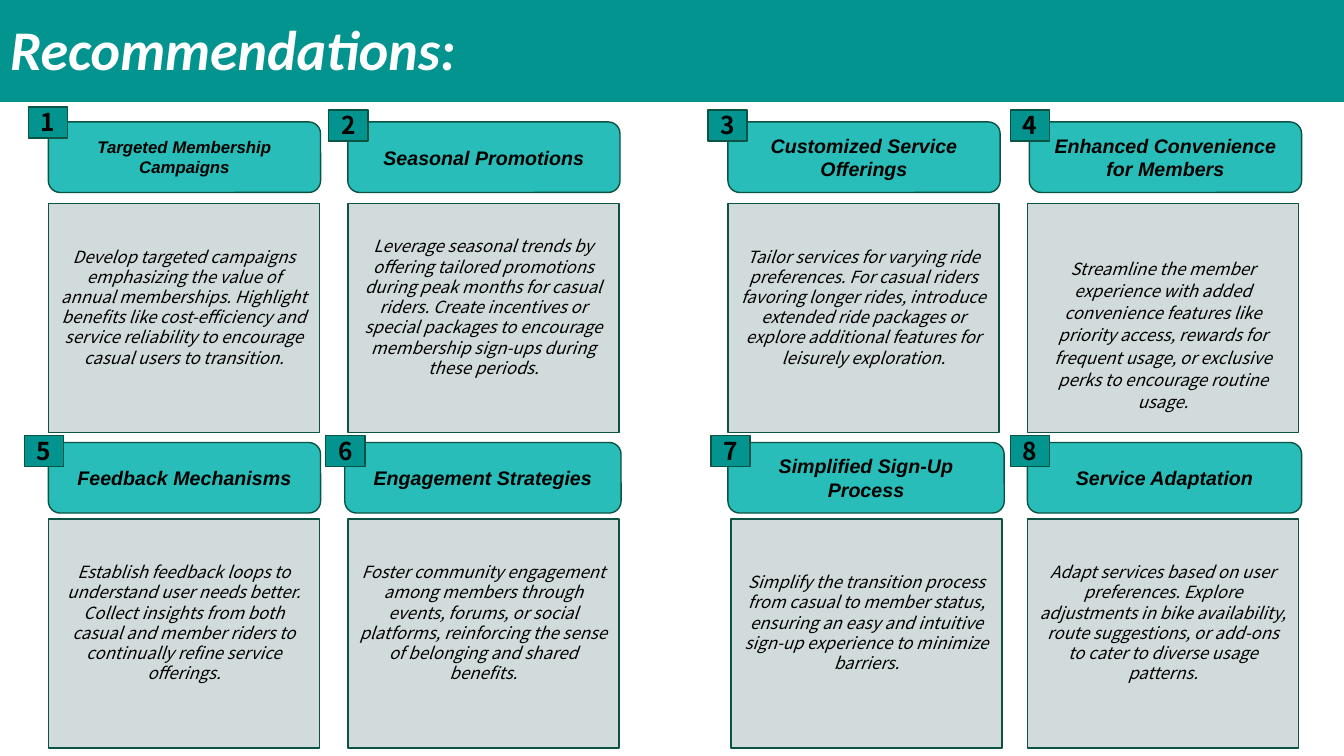
from dataclasses import dataclass

from pptx import Presentation
from pptx.dml.color import RGBColor
from pptx.enum.shapes import MSO_SHAPE
from pptx.enum.text import MSO_ANCHOR, MSO_AUTO_SIZE, PP_ALIGN
from pptx.util import Inches, Pt

RECTANGLE = MSO_SHAPE.RECTANGLE
ROUNDED = MSO_SHAPE.ROUNDED_RECTANGLE
MIDDLE = MSO_ANCHOR.MIDDLE
NO_AUTOFIT = MSO_AUTO_SIZE.NONE
LEFT = PP_ALIGN.LEFT
CENTER = PP_ALIGN.CENTER

TITLE = "Recommendations:"
CARDS = [
    ("Targeted Membership Campaigns",
     "Develop targeted campaigns emphasizing the value of annual memberships. "
     "Highlight benefits like cost-efficiency and service reliability to encourage "
     "casual users to transition."),
    ("Seasonal Promotions",
     "Leverage seasonal trends by offering tailored promotions during peak months "
     "for casual riders. Create incentives or special packages to encourage "
     "membership sign-ups during these periods."),
    ("Customized Service Offerings",
     "Tailor services for varying ride preferences. For casual riders favoring "
     "longer rides, introduce extended ride packages or explore additional features "
     "for leisurely exploration."),
    ("Enhanced Convenience for Members",
     "Streamline the member experience with added convenience features like "
     "priority access, rewards for frequent usage, or exclusive perks to encourage "
     "routine usage."),
    ("Feedback Mechanisms",
     "Establish feedback loops to understand user needs better. Collect insights "
     "from both casual and member riders to continually refine service offerings."),
    ("Engagement Strategies",
     "Foster community engagement among members through events, forums, or social "
     "platforms, reinforcing the sense of belonging and shared benefits."),
    ("Simplified Sign-Up Process",
     "Simplify the transition process from casual to member status, ensuring an "
     "easy and intuitive sign-up experience to minimize barriers."),
    ("Service Adaptation",
     "Adapt services based on user preferences. Explore adjustments in bike "
     "availability, route suggestions, or add-ons to cater to diverse usage patterns."),
]

COLUMNS = 4
ROWS = [
    {"heading_top": 1.21, "body_top": 2.02,
     "badge_tops": [1.06, 1.09, 1.09, 1.09],
     "badge_lefts": [0.28, 3.26, 7.02, 10.02],
     "heading_lefts": [0.48, 3.45, 7.22, 10.21],
     "heading_widths": [2.7, 2.7, 2.7, 2.7],
     "body_lefts": [0.48, 3.45, 7.22, 10.19]},
    {"heading_top": 4.39, "body_top": 5.15,
     "badge_tops": [4.32] * COLUMNS,
     "badge_lefts": [0.24, 3.23, 7.05, 10.02],
     "heading_lefts": [0.48, 3.42, 7.22, 10.19],
     "heading_widths": [2.7, 2.74, 2.74, 2.72],
     "body_lefts": [0.48, 3.45, 7.25, 10.19]},
]
HEADING_HEIGHT = 0.7
BODY_SIZE = (2.69, 2.27)
BADGE_SIZE = (0.39, 0.31)
BODY_INSETS = (0.1, 0.05, 0.1, 0.27)
LOW_BODY_INSETS = (0.1, 0.37, 0.1, 0.05)
LOW_BODY = 4
SMALL_HEADING = 1


@dataclass(frozen=True)
class Theme:
    bar: str = "03948F"
    heading: str = "28BDB8"
    body: str = "D1DBDB"
    outline: str = "0D5344"
    ink: str = "000000"
    white: str = "FFFFFF"
    title_font: str = "Calibri"
    heading_font: str = "Arial"
    body_font: str = "Noto Sans CJK KR"
    title_size: float = 40
    heading_size: float = 14
    small_size: float = 12
    badge_size: float = 17.5
    body_leading: float = 14.45
    loose_leading: float = 15.9
    badge_leading: float = 20


THEME = Theme()


def write(shape, text, *, font, size, color=THEME.ink, bold=False, italic=False,
          align=CENTER, leading=None, insets=(0.1, 0.05, 0.1, 0.05)):
    frame = shape.text_frame
    frame.word_wrap = True
    frame.auto_size = NO_AUTOFIT
    frame.vertical_anchor = MIDDLE
    (frame.margin_left, frame.margin_top,
     frame.margin_right, frame.margin_bottom) = map(Inches, insets)
    para = frame.paragraphs[0]
    para.alignment = align
    if leading:
        para.line_spacing = Pt(leading)
    span = para.add_run()
    span.text = text
    span.font.name = font
    span.font.size = Pt(size)
    span.font.bold = bold
    span.font.italic = italic
    span.font.color.rgb = RGBColor.from_string(color)


def add_box(page, kind, left, top, width, height, fill):
    box = page.shapes.add_shape(kind, *map(Inches, (left, top, width, height)))
    box.shadow.inherit = False
    box.fill.solid()
    box.fill.fore_color.rgb = RGBColor.from_string(fill)
    box.line.color.rgb = RGBColor.from_string(THEME.outline)
    box.line.width = Pt(1)
    return box


def add_title(page):
    title = page.shapes.title
    title.left, title.top, title.width, title.height = map(
        Inches, (0, -0.05, 13.33, 1.06))
    title.fill.solid()
    title.fill.fore_color.rgb = RGBColor.from_string(THEME.bar)
    write(title, TITLE, font=THEME.title_font, size=THEME.title_size,
          color=THEME.white, bold=True, italic=True, align=LEFT)


def add_card(page, number, heading, body):
    row_index, column = divmod(number - 1, COLUMNS)
    row = ROWS[row_index]
    low = number == LOW_BODY

    heading_box = add_box(page, ROUNDED, row["heading_lefts"][column],
                          row["heading_top"], row["heading_widths"][column],
                          HEADING_HEIGHT, THEME.heading)
    write(heading_box, heading, font=THEME.heading_font, bold=True, italic=True,
          size=THEME.small_size if number == SMALL_HEADING else THEME.heading_size)

    body_box = add_box(page, RECTANGLE, row["body_lefts"][column],
                       row["body_top"], *BODY_SIZE, THEME.body)
    write(body_box, body, font=THEME.body_font, size=THEME.small_size, italic=True,
          leading=THEME.loose_leading if low else THEME.body_leading,
          insets=LOW_BODY_INSETS if low else BODY_INSETS)

    badge = add_box(page, RECTANGLE, row["badge_lefts"][column],
                    row["badge_tops"][column], *BADGE_SIZE, THEME.bar)
    write(badge, str(number), font=THEME.body_font, size=THEME.badge_size,
          bold=True, leading=THEME.badge_leading, insets=(0, 0, 0, 0))


def main():
    deck = Presentation()
    deck.slide_width = Inches(13.33)
    deck.slide_height = Inches(7.5)
    page = deck.slides.add_slide(deck.slide_layouts.get_by_name("Title Only"))
    page.background.fill.solid()
    page.background.fill.fore_color.rgb = RGBColor.from_string(THEME.white)
    add_title(page)
    for number, (heading, body) in enumerate(CARDS, start=1):
        add_card(page, number, heading, body)
    deck.save("out.pptx")


if __name__ == "__main__":
    main()
